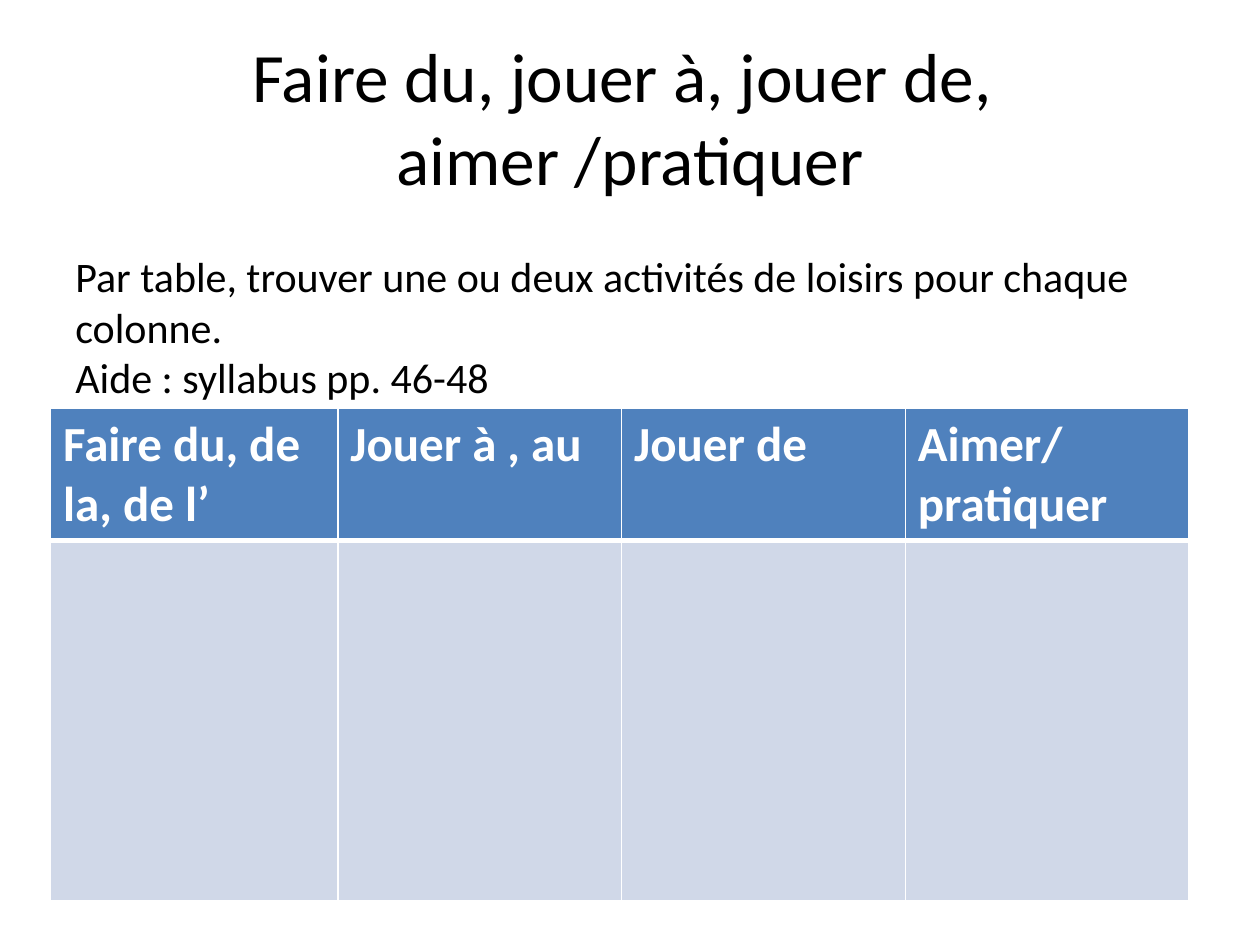
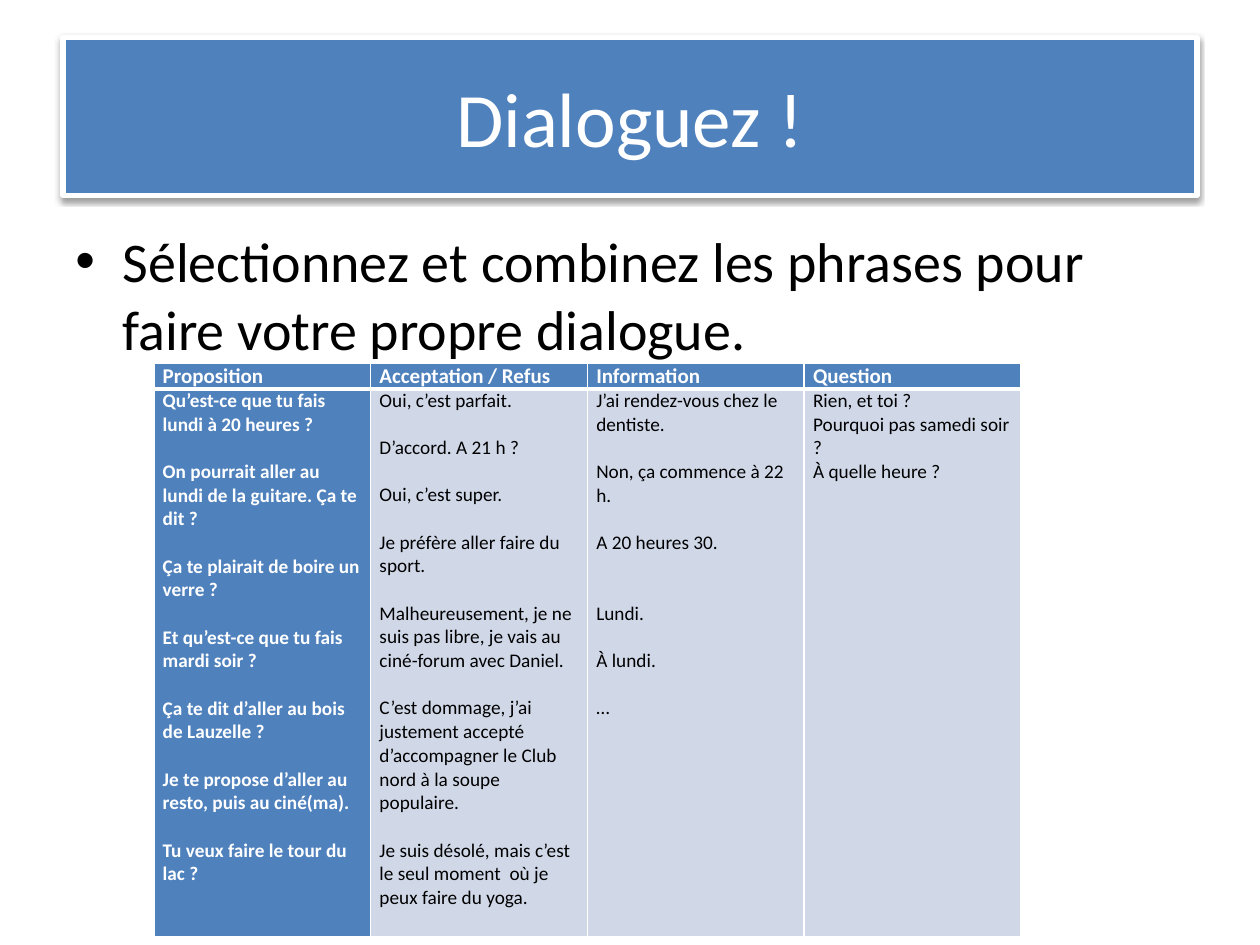
from lxml import etree
from pptx import Presentation
from pptx.dml.color import RGBColor
from pptx.enum.shapes import MSO_SHAPE
from pptx.enum.text import MSO_ANCHOR, PP_ALIGN
from pptx.oxml import parse_xml
from pptx.oxml.ns import nsdecls, qn
from pptx.util import Cm, Pt

RECTANGLE = MSO_SHAPE.RECTANGLE
MIDDLE = MSO_ANCHOR.MIDDLE
CENTER, LEFT = PP_ALIGN.CENTER, PP_ALIGN.LEFT

FONT = "Calibri"
BLUE, PALE_BLUE, WHITE, BLACK = "4F81BD", "D0D8E8", "FFFFFF", "000000"
TITLE_BOX = (1.27, 0.76, 22.86, 3.18)
LINE_GAP = 13.4  # one line of 11 pt text

PROPOSITIONS = [
    "Qu’est-ce que tu fais lundi à 20 heures ?",
    "On pourrait aller au lundi de la guitare. Ça te dit ?",
    "Ça te plairait de boire un verre ?",
    "Et qu’est-ce que tu fais mardi soir ?",
    "Ça te dit d’aller au bois de Lauzelle ?",
    "Je te propose d’aller au resto, puis au ciné(ma).",
    "Tu veux faire le tour du lac ?",
]
ANSWERS = [
    "Oui, c’est parfait.",
    "D’accord. A 21 h ?",
    "Oui, c’est super.",
    "Je préfère aller faire du sport.",
    "Malheureusement, je ne suis pas libre, je vais au ciné-forum avec Daniel.",
    "C’est dommage, j’ai justement accepté d’accompagner le Club nord à la soupe populaire.",
    "Je suis désolé, mais c’est le seul moment  où je peux faire du yoga.",
]
INFORMATION = [
    "J’ai rendez-vous chez le dentiste.",
    "Non, ça commence à 22  h.",
    "A 20 heures 30.",
    "Lundi.",
    "À lundi.",
    "…",
]
QUESTIONS = ["Rien, et toi ?", "Pourquoi pas samedi soir ?", "À quelle heure ?"]


def color(hex_string):
    return RGBColor.from_string(hex_string)


class Deck:
    def __init__(self):
        self.presentation = Presentation()
        self.presentation.slide_width = Cm(25.4)
        self.presentation.slide_height = Cm(19.05)
        self.slide = None

    def new_slide(self):
        self.slide = self.presentation.slides.add_slide(self.presentation.slide_layouts[6])

    def fill_text(self, text_frame, text, size, font_color=BLACK, bold=False, align=LEFT, gap=0):
        """Fill a text frame; gap is the space in points between paragraphs."""
        text_frame.word_wrap = True
        text_frame.text = text
        for paragraph in text_frame.paragraphs:
            paragraph.alignment = align
            for run in paragraph.runs:
                run.font.name = FONT
                run.font.size = Pt(size)
                run.font.bold = bold
                run.font.color.rgb = color(font_color)
        for paragraph in text_frame.paragraphs[:-1]:
            paragraph.space_after = Pt(gap)

    def text(self, box, text, size, **style):
        shape = self.slide.shapes.add_textbox(*map(Cm, box))
        self.fill_text(shape.text_frame, text, size, **style)
        return shape

    def title(self, text, size):
        shape = self.text(TITLE_BOX, text, size, align=CENTER)
        shape.text_frame.vertical_anchor = MIDDLE

    def title_band(self, text, size):
        shape = self.slide.shapes.add_shape(RECTANGLE, *map(Cm, TITLE_BOX))
        shape.fill.solid()
        shape.fill.fore_color.rgb = color(BLUE)
        shape.line.color.rgb = color(WHITE)
        shape.line.width = Pt(3)
        shape.shadow.inherit = False
        effects = shape._element.spPr.find(qn("a:effectLst"))
        effects.append(parse_xml(
            f'<a:outerShdw {nsdecls("a")} blurRad="{Pt(3.1)}" dist="{Pt(1.6)}" dir="5400000" '
            f'rotWithShape="0"><a:srgbClr val="{BLACK}"><a:alpha val="38000"/></a:srgbClr>'
            '</a:outerShdw>'))
        self.fill_text(shape.text_frame, text, size, font_color=WHITE, align=CENTER)
        shape.text_frame.vertical_anchor = MIDDLE

    def bullet(self, box, text, size):
        shape = self.text(box, text, size)
        properties = shape.text_frame.paragraphs[0]._p.get_or_add_pPr()
        properties.set("marL", str(Cm(0.95)))
        properties.set("indent", str(-Cm(0.95)))
        etree.SubElement(properties, qn("a:buFont"), typeface="Arial")
        etree.SubElement(properties, qn("a:buChar"), char="•")

    def table(self, left, top, widths, heights):
        frame = self.slide.shapes.add_table(
            len(heights), len(widths), *map(Cm, (left, top, sum(widths), sum(heights))))
        for column, width in zip(frame.table.columns, widths):
            column.width = Cm(width)
        for row, height in zip(frame.table.rows, heights):
            row.height = Cm(height)
        return frame.table

    def cell(self, cell, text, size, header=False, accent=False, gap=0, margins=None):
        """Style one cell; header and accent cells are blue with bold white text."""
        strong = header or accent
        if margins:
            cell.margin_left = cell.margin_right = Cm(margins[0])
            cell.margin_top = cell.margin_bottom = Cm(margins[1])
        self.fill_text(cell.text_frame, text, size, WHITE if strong else BLACK, strong, gap=gap)
        properties = cell._tc.get_or_add_tcPr()
        for side in "LRTB":
            thick = side == ("B" if header else "T")
            border = etree.SubElement(properties, qn(f"a:ln{side}"), w=str(Pt(3 if thick else 1)))
            fill = etree.SubElement(border, qn("a:solidFill"))
            etree.SubElement(fill, qn("a:srgbClr"), val=WHITE)
        cell.fill.solid()
        cell.fill.fore_color.rgb = color(BLUE if strong else PALE_BLUE)


def build_activities(deck):
    deck.new_slide()
    deck.title("Faire du, jouer à, jouer de, \vaimer /pratiquer", 39.6)
    table = deck.table(1.02, 8.23, [5.79] + [5.72] * 3, [2.67, 7.26])
    headings = ["Faire du, de la, de l’", "Jouer à , au", "Jouer de", "Aimer/\npratiquer"]
    for column, heading in enumerate(headings):
        deck.cell(table.cell(0, column), heading, 28, header=True)
        deck.cell(table.cell(1, column), "", 18)
    deck.text((1.27, 4.93, 22.43, 3.33),
              "Par table, trouver une ou deux activités de loisirs pour chaque colonne.\n"
              "Aide : syllabus pp. 46-48", 24)


def build_dialogue(deck):
    deck.new_slide()
    deck.title_band("Dialoguez !", 44)
    deck.bullet((1.27, 4.45, 22.86, 12.57),
                "Sélectionnez et combinez les phrases pour faire votre propre dialogue.", 32)
    columns = [
        ("Proposition", PROPOSITIONS, LINE_GAP),
        ("Acceptation / Refus", ANSWERS, LINE_GAP),
        ("Information", INFORMATION, LINE_GAP),
        ("Question", QUESTIONS, 0),
    ]
    table = deck.table(3.1, 7.32, [4.37] * len(columns), [0.52, 11.05])
    margins = (0.18, 0)
    for column, (heading, phrases, gap) in enumerate(columns):
        deck.cell(table.cell(0, column), heading, 12, header=True, margins=margins)
        deck.cell(table.cell(1, column), "\n".join(phrases), 11, accent=column == 0,
                  gap=gap, margins=margins)
    before_monday = table.cell(1, 2).text_frame.paragraphs[INFORMATION.index("Lundi.") - 1]
    before_monday.space_after = Pt(2 * LINE_GAP)


def main():
    deck = Deck()
    build_activities(deck)
    build_dialogue(deck)
    deck.presentation.save("out.pptx")


if __name__ == "__main__":
    main()
